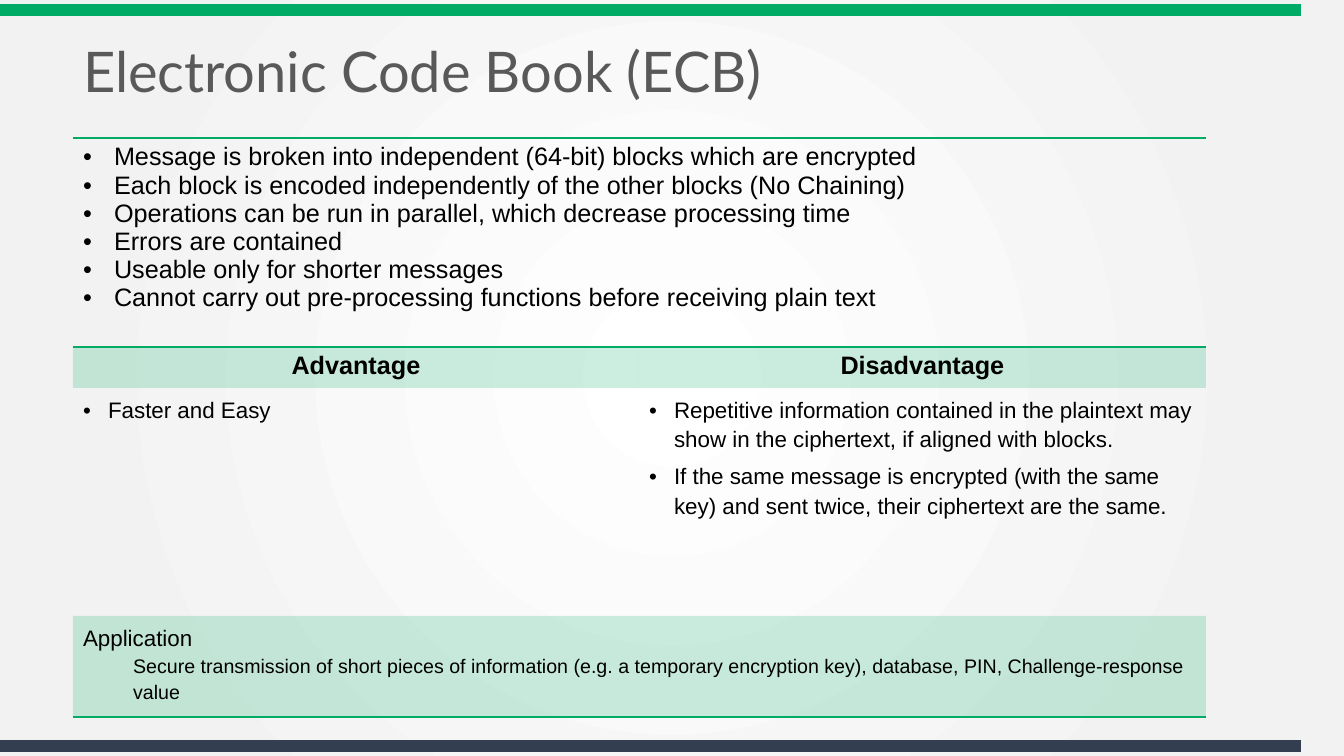
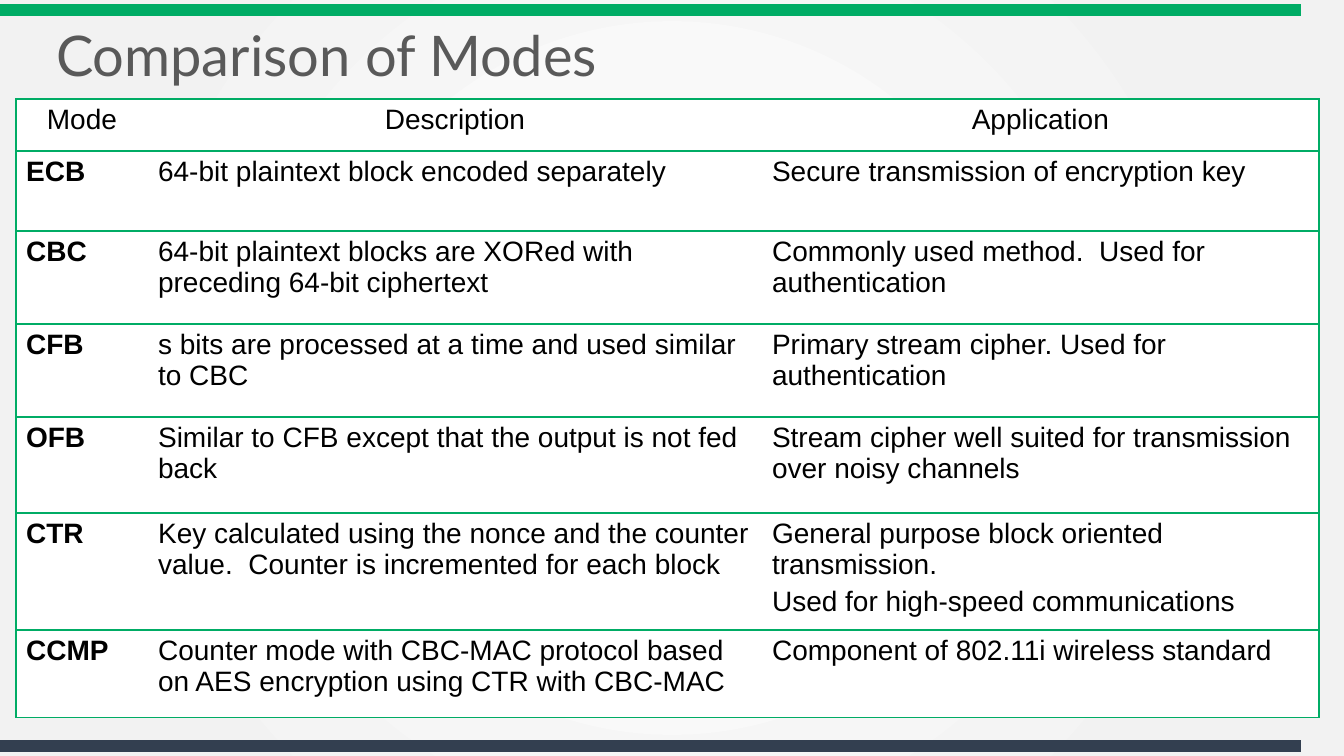
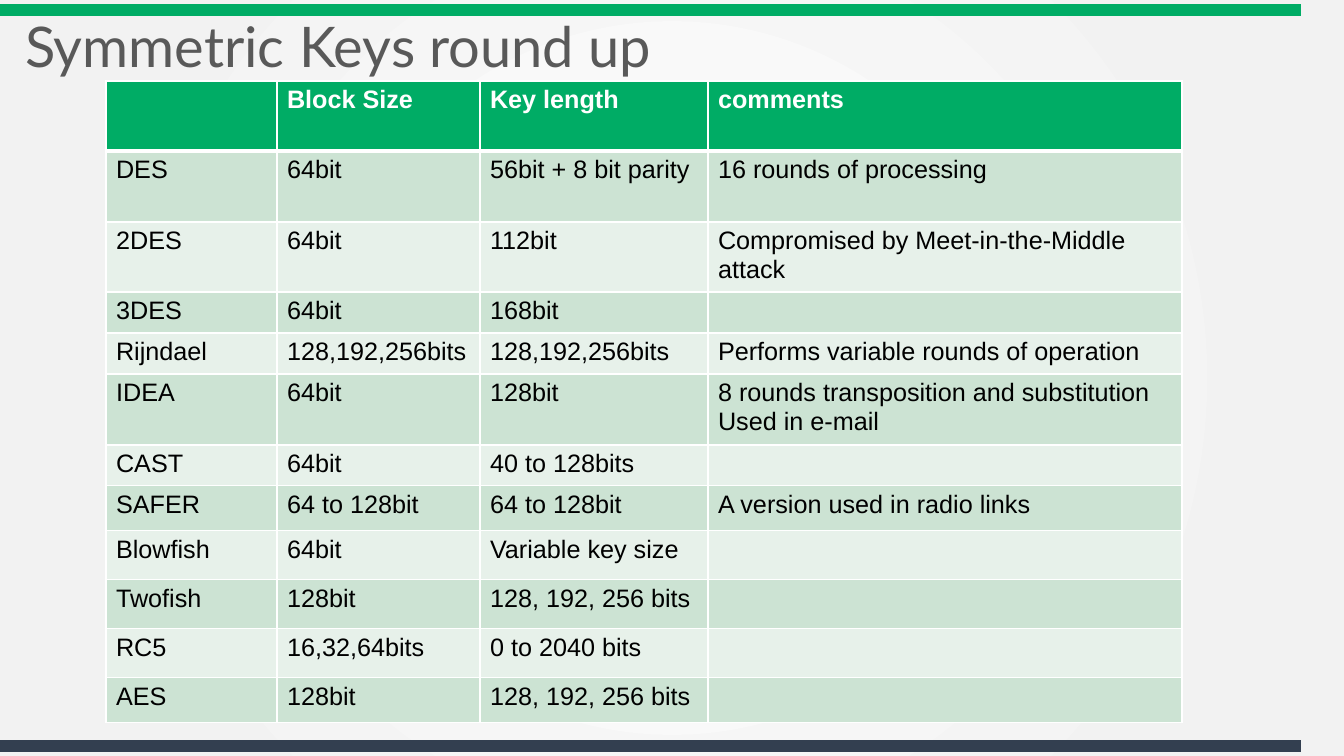
from pptx import Presentation
from pptx import util as u
from pptx.dml.color import RGBColor
from pptx.enum import shapes, text
from pptx.oxml import parse_xml
from pptx.oxml.ns import nsdecls, qn

PX = 914400 / 100.8
GREEN, NAVY, GREY = "00AC65", "333F50", "595959"
BLACK, WHITE, PALE = "000000", "FFFFFF", "F2F2F2"
BANDS = ["CCE3D3", "E7F1EA"]
BARS = [(5, GREEN), (741, NAVY)]
GLOW = [(0, WHITE), (81, PALE), (100, PALE)]
PLAIN = "{2D5ABB26-0587-4C30-8999-92F81FD0307C}"

ECB = {
    "title": "Electronic Code Book (ECB)",
    "facts": [
        "Message is broken into independent (64-bit) blocks which are encrypted",
        "Each block is encoded independently of the other blocks (No Chaining)",
        "Operations can be run in parallel, which decrease processing time",
        "Errors are contained",
        "Useable only for shorter messages",
        "Cannot carry out pre-processing functions before receiving plain text",
    ],
    "heads": ["Advantage", "Disadvantage"],
    "sides": [
        ["Faster and Easy"],
        ["Repetitive information contained in the plaintext may show in the "
         "ciphertext, if aligned with blocks.",
         "If the same message is encrypted (with the same key) and sent twice, "
         "their ciphertext are the same."],
    ],
    "use": ["Application",
            "Secure transmission of short pieces of information (e.g. a temporary "
            "encryption key), database, PIN, Challenge-response value"],
}

MODES = [
    ("Mode", "Description", "Application"),
    ("ECB", "64-bit plaintext block encoded separately",
     "Secure transmission of encryption key"),
    ("CBC", "64-bit plaintext blocks are XORed with preceding 64-bit ciphertext",
     "Commonly used method.  Used for authentication"),
    ("CFB", "s bits are processed at a time and used similar to CBC",
     "Primary stream cipher. Used for authentication"),
    ("OFB", "Similar to CFB except that the output is not fed back",
     "Stream cipher well suited for transmission over noisy channels"),
    ("CTR", "Key calculated using the nonce and the counter value.  "
     "Counter is incremented for each block",
     "General purpose block oriented transmission.\n"
     "Used for high-speed communications"),
    ("CCMP", "Counter mode with CBC-MAC protocol based on AES encryption "
     "using CTR with CBC-MAC", "Component of 802.11i wireless standard"),
]

KEYS = [
    ("", "Block Size", "Key length", "comments"),
    ("DES", "64bit", "56bit + 8 bit parity", "16 rounds of processing"),
    ("2DES", "64bit", "112bit", "Compromised by Meet-in-the-Middle attack"),
    ("3DES", "64bit", "168bit", ""),
    ("Rijndael", "128,192,256bits", "128,192,256bits",
     "Performs variable rounds of operation"),
    ("IDEA", "64bit", "128bit",
     "8 rounds transposition and substitution\nUsed in e-mail"),
    ("CAST", "64bit", "40 to 128bits", ""),
    ("SAFER", "64 to 128bit", "64 to 128bit", "A version used in radio links"),
    ("Blowfish", "64bit", "Variable key size", ""),
    ("Twofish", "128bit", "128, 192, 256 bits", ""),
    ("RC5", "16,32,64bits", "0 to 2040 bits", ""),
    ("AES", "128bit", "128, 192, 256 bits", ""),
]


def px(n):
    """Turn pixels into EMU."""
    return u.Emu(round(n * PX))


def rgb(code):
    """Turn a hex string into a colour."""
    return RGBColor.from_string(code)


def glow(master):
    """Give the master its round gradient."""
    master.background.fill.solid()
    back = master.element.xpath("p:cSld/p:bg/p:bgPr")[0]
    stops = "".join(f'<a:gs pos="{at * 1000}"><a:srgbClr val="{code}"/></a:gs>'
                    for at, code in GLOW)
    back.replace(back[0], parse_xml(
        f'<a:gradFill {nsdecls("a")} rotWithShape="1"><a:gsLst>{stops}</a:gsLst>'
        '<a:path path="circle"><a:fillToRect l="50000" t="50000" r="50000" '
        'b="50000"/></a:path></a:gradFill>'))


def bars(slide, master):
    """Draw the two bands and move them to the master."""
    for i, (top, code) in enumerate(BARS):
        bar = slide.shapes.add_shape(shapes.MSO_SHAPE.RECTANGLE,
                                     0, px(top), px(1300), px(10))
        bar.shadow.inherit = False
        bar.fill.solid()
        bar.fill.fore_color.rgb = bar.line.color.rgb = rgb(code)
        bar.line.width = u.Pt(1)
        bar.element.spPr.find(qn("a:ln")).append(
            parse_xml(f'<a:miter {nsdecls("a")} lim="800000"/>'))
        bar.element.nvSpPr.cNvPr.set("id", str(50 + i))
        master.shapes.element.insert(2 + i, bar.element)


def start(deck, words, left, top):
    """Add a slide with its title in place."""
    slide = deck.slides.add_slide(deck.slide_layouts[5])
    title = slide.shapes.title
    title.left, title.top = px(left), px(top)
    title.width, title.height = px(1179), px(81)
    frame = title.text_frame
    frame.text = words
    frame.vertical_anchor = text.MSO_ANCHOR.MIDDLE
    para = frame.paragraphs[0]
    para.alignment = text.PP_ALIGN.LEFT
    para.line_spacing = 0.9
    font = para.runs[0].font
    font.name, font.size, font.color.rgb = "Lato", u.Pt(40), rgb(GREY)
    return slide


def grid(slide, left, top, cols, rows):
    """Add a table without a style of its own."""
    table = slide.shapes.add_table(len(rows), len(cols), px(left), px(top),
                                   px(sum(cols)), px(sum(rows))).table
    table.first_row = table.horz_banding = False
    table._tbl.tblPr.find(qn("a:tableStyleId")).text = PLAIN
    for col, size in zip(table.columns, cols):
        col.width = px(size)
    for row, size in zip(table.rows, rows):
        row.height = px(size)
    return table


def put(cell, words, size, bold=False, code=BLACK, mid=False, gap=0, lead=None):
    """Write and format the text of a cell, one paragraph a line."""
    cell.text_frame.text = words
    for para in cell.text_frame.paragraphs:
        para.alignment = text.PP_ALIGN.CENTER if mid else text.PP_ALIGN.LEFT
        para.space_before = u.Pt(gap)
        para.line_spacing = lead
        para.font.size = u.Pt(size)
        for run in para.runs:
            font = run.font
            font.name, font.size, font.bold = "Arial", u.Pt(size), bold
            font.color.rgb = rgb(code)


def dots(cell, step):
    """Put a bullet before each paragraph, with a hanging indent."""
    for para in cell.text_frame.paragraphs:
        props = para._p.get_or_add_pPr()
        props.set("marL", str(px(step)))
        props.set("indent", str(-px(step)))
        spot = props.find(qn("a:defRPr"))
        for tag in ('buFont {} typeface="Arial"', 'buChar {} char="\u2022"'):
            spot.addprevious(parse_xml(f'<a:{tag.format(nsdecls("a"))}/>'))


def paint(cell, code, alpha=100):
    """Fill a cell, at a given percentage of cover."""
    cell.fill.solid()
    cell.fill.fore_color.rgb = rgb(code)
    if alpha < 100:
        tint = cell._tc.tcPr.find(qn("a:solidFill"))[0]
        tint.append(parse_xml(f'<a:alpha {nsdecls("a")} val="{alpha * 1000}"/>'))


def edge(cell, code, sides, thick=None):
    """Draw cell borders; sides come from L, R, T and B in that order."""
    props = cell._tc.get_or_add_tcPr()
    for i, side in enumerate(sides):
        wide = u.Pt((thick or {}).get(side, 1))
        props.insert(i, parse_xml(
            f'<a:ln{side} {nsdecls("a")} w="{wide}"><a:solidFill>'
            f'<a:srgbClr val="{code}"/></a:solidFill></a:ln{side}>'))


def book(slide):
    """Fill the slide on ECB."""
    table = grid(slide, 73, 138, [566, 567], [209, 41, 228, 101])
    for row in (0, 3):
        table.cell(row, 0).merge(table.cell(row, 1))
    facts, use = table.cell(0, 0), table.cell(3, 0)
    put(facts, "\n".join(ECB["facts"]), 18)
    dots(facts, 31)
    for col in range(2):
        head, side = table.cell(1, col), table.cell(2, col)
        put(head, ECB["heads"][col], 18, bold=True, mid=True)
        put(side, "\n".join(ECB["sides"][col]), 16, gap=5, lead=1.2)
        dots(side, 25)
        paint(head, GREEN, 20)
        edge(table.cell(0, col), GREEN, "TB")
        edge(table.cell(3, col), GREEN, "B")
    put(use, "\n".join(ECB["use"]), 16, lead=1.2)
    paint(use, GREEN, 20)
    note = use.text_frame.paragraphs[1]
    note.level = 1
    note._p.pPr.set("marL", str(px(50)))
    note._p.pPr.set("indent", "0")
    note.runs[0].font.size = u.Pt(14)


def modes(slide):
    """Fill the slide that compares modes."""
    table = grid(slide, 16, 99, [132, 614, 557], [52, 80, 93, 93, 96, 117, 88])
    for r, row in enumerate(MODES):
        for c, words in enumerate(row):
            cell = table.cell(r, c)
            put(cell, words, 20, bold=r > 0 and c == 0, mid=r == 0, gap=4)
            paint(cell, WHITE)
            edge(cell, GREEN, ("LTB", "TB", "RTB")[c])


def keys(slide):
    """Fill the slide that lists ciphers."""
    table = grid(slide, 106, 81, [171, 203, 228, 474],
                 [70, 71, 70, 41, 41, 71, 41, 45, 49, 49, 49, 45])
    for r, row in enumerate(KEYS):
        for c, words in enumerate(row):
            cell, head = table.cell(r, c), r == 0
            put(cell, words, 18, bold=head, code=WHITE if head else BLACK)
            paint(cell, GREEN if head else BANDS[(r - 1) % 2])
            edge(cell, WHITE, "LRTB", {"B": 3} if head else {"T": 3} if r == 1 else None)


deck = Presentation()
deck.slide_width, deck.slide_height = px(1344), px(756)
glow(deck.slide_master)
first = start(deck, ECB["title"], 73, 34)
bars(first, deck.slide_master)
book(first)
modes(start(deck, "Comparison of Modes", 46, 18))
keys(start(deck, "Symmetric Keys round up", 15, 9))
deck.save("out.pptx")
